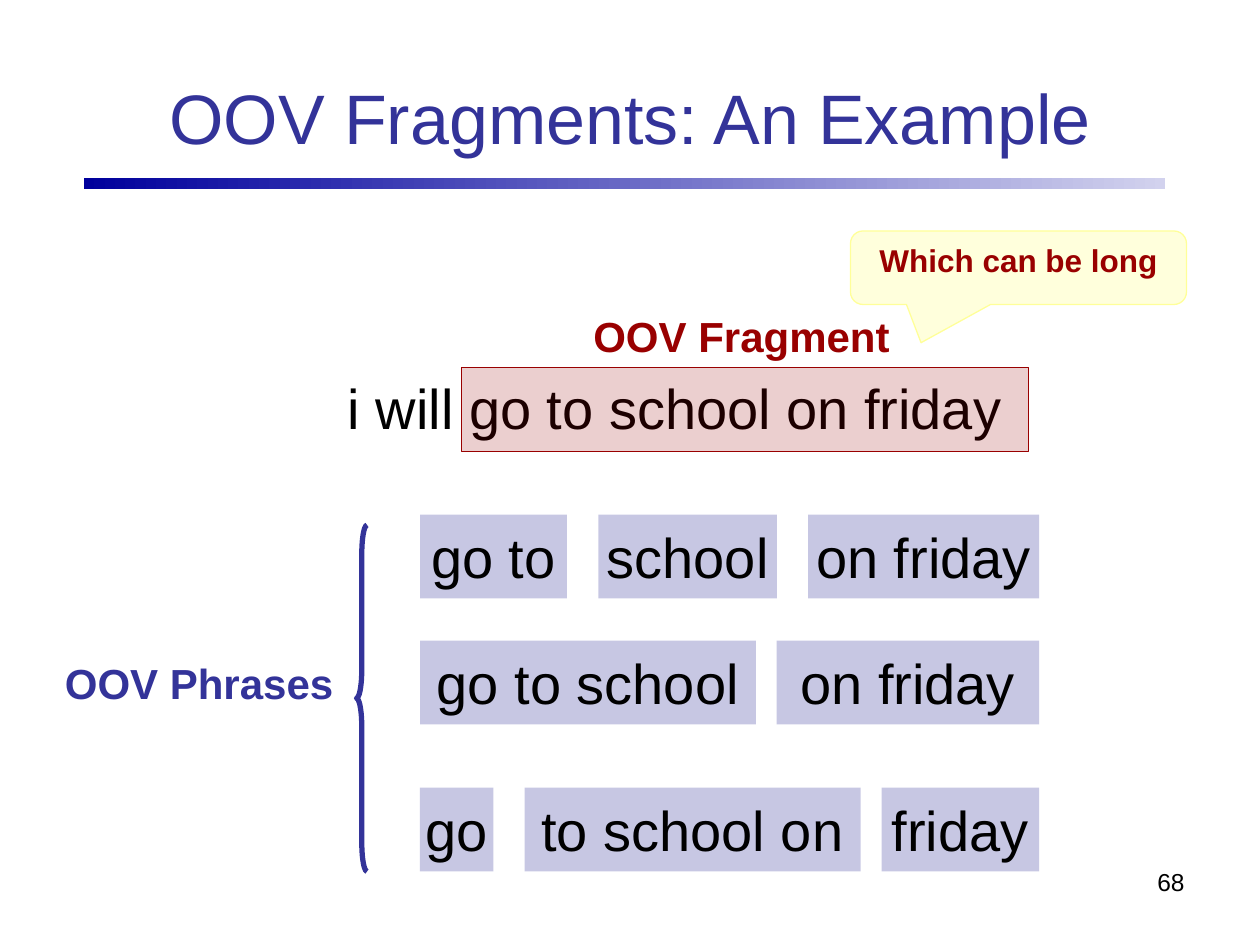
"""Build the slide on OOV fragments and the phrases they split into."""
from dataclasses import dataclass

import pptx
import pptx.dml.color
import pptx.enum.shapes
import pptx.enum.text
import pptx.oxml
import pptx.oxml.ns
import pptx.util

Pt = pptx.util.Pt
RGB = pptx.dml.color.RGBColor.from_string
SHAPE = pptx.enum.shapes.MSO_SHAPE
ALIGN = pptx.enum.text.PP_ALIGN
ANCHOR = pptx.enum.text.MSO_ANCHOR
AUTO_SIZE = pptx.enum.text.MSO_AUTO_SIZE


@dataclass(frozen=True)
class Theme:
    font: str = "Arial"
    blue: str = "333399"
    red: str = "990000"
    yellow: str = "FFFF99"
    black: str = "000000"
    bar_start: str = "00009C"
    bar_end: str = "D2D2EE"
    title: int = 40
    phrase: int = 32
    label: int = 24
    note: int = 18
    number: int = 14


theme = Theme()


def add_text(sp, text, size, color, bold=False, align=ALIGN.LEFT, anchor=ANCHOR.TOP, wrap=False):
    tf = sp.text_frame
    tf.word_wrap = wrap
    tf.vertical_anchor = anchor
    p = tf.paragraphs[0]
    p.alignment = align
    r = p.add_run()
    r.text = text
    r.font.name = theme.font
    r.font.size = Pt(size)
    r.font.bold = bold
    r.font.color.rgb = RGB(color)


def add_tinted(kind, left, top, width, height, color, opacity, outlined=False):
    sp = s.shapes.add_shape(kind, Pt(left), Pt(top), Pt(width), Pt(height))
    sp.shadow.inherit = False
    sp.fill.solid()
    sp.fill.fore_color.rgb = RGB(color)
    clr = sp._element.spPr.find(pptx.oxml.ns.qn("a:solidFill"))[0]
    alpha = pptx.oxml.parse_xml(f'<a:alpha {pptx.oxml.ns.nsdecls("a")} val="{opacity * 1000}"/>')
    clr.append(alpha)
    if outlined:
        sp.line.color.rgb = RGB(color)
        sp.line.width = Pt(0.75)
    else:
        sp.line.fill.background()
    return sp


prs = pptx.Presentation()
prs.slide_width, prs.slide_height = Pt(720), Pt(540)
s = prs.slides.add_slide(prs.slide_layouts[5])

title = s.shapes.title
title.left, title.top, title.width, title.height = Pt(36), Pt(21.6), Pt(648), Pt(90)
add_text(title, "OOV Fragments: An Example", theme.title, theme.blue,
         align=ALIGN.CENTER, anchor=ANCHOR.MIDDLE, wrap=True)

bar = s.shapes.add_shape(SHAPE.ROUNDED_RECTANGLE, Pt(48), Pt(102), Pt(618), Pt(6))
bar.adjustments[0] = 0
bar.shadow.inherit = False
bar.line.fill.background()
bar.fill.gradient()
bar.fill.gradient_angle = 0
for stop, color in zip(bar.fill.gradient_stops, (theme.bar_start, theme.bar_end)):
    stop.color.rgb = RGB(color)

sentence = s.shapes.add_textbox(Pt(191.75), Pt(210), Pt(432), Pt(46))
add_text(sentence, "i will go to school on friday", theme.phrase, theme.black, wrap=True)
add_tinted(SHAPE.RECTANGLE, 263.75, 210, 324, 48, theme.red, 19, outlined=True)

labels = [
    ("OOV Fragment", 332, 174, 186, theme.red),
    ("OOV Phrases", 30, 372, 168, theme.blue),
]
for text, left, top, width, color in labels:
    label = s.shapes.add_textbox(Pt(left), Pt(top), Pt(width), Pt(36))
    add_text(label, text, theme.label, color, bold=True)
    label.text_frame.auto_size = AUTO_SIZE.SHAPE_TO_FIT_TEXT

phrase_rows = [
    (294, [("go to", 240, 84), ("school", 342, 102), ("on friday", 461.75, 132)]),
    (366, [("go to school", 240, 192), ("on friday", 443.75, 150)]),
    (450, [("go", 240, 42), ("to school on", 299.75, 192), ("friday", 503.75, 90)]),
]
for top, phrases in phrase_rows:
    for text, left, width in phrases:
        phrase = add_tinted(SHAPE.RECTANGLE, left, top, width, 48, theme.blue, 27)
        add_text(phrase, text, theme.phrase, theme.black, align=ALIGN.CENTER, anchor=ANCHOR.MIDDLE)

brace = s.shapes.add_shape(SHAPE.LEFT_BRACE, Pt(203.75), Pt(300), Pt(6), Pt(198))
brace.adjustments[0] = 2.75
brace.adjustments[1] = 0.5
brace.shadow.inherit = False
brace.fill.background()
brace.line.color.rgb = RGB(theme.blue)
brace.line.width = Pt(3)

callout = add_tinted(SHAPE.ROUNDED_RECTANGULAR_CALLOUT, 486, 132, 192, 42, theme.yellow, 34, outlined=True)
for i, value in enumerate((-0.29, 1.02, 0.17)):
    callout.adjustments[i] = value
add_text(callout, "Which can be long", theme.note, theme.red, bold=True, align=ALIGN.CENTER, wrap=True)

number = s.shapes.add_textbox(Pt(516), Pt(492), Pt(168), Pt(37.5))
add_text(number, "68", theme.number, theme.black, align=ALIGN.RIGHT, wrap=True)

prs.save("out.pptx")
